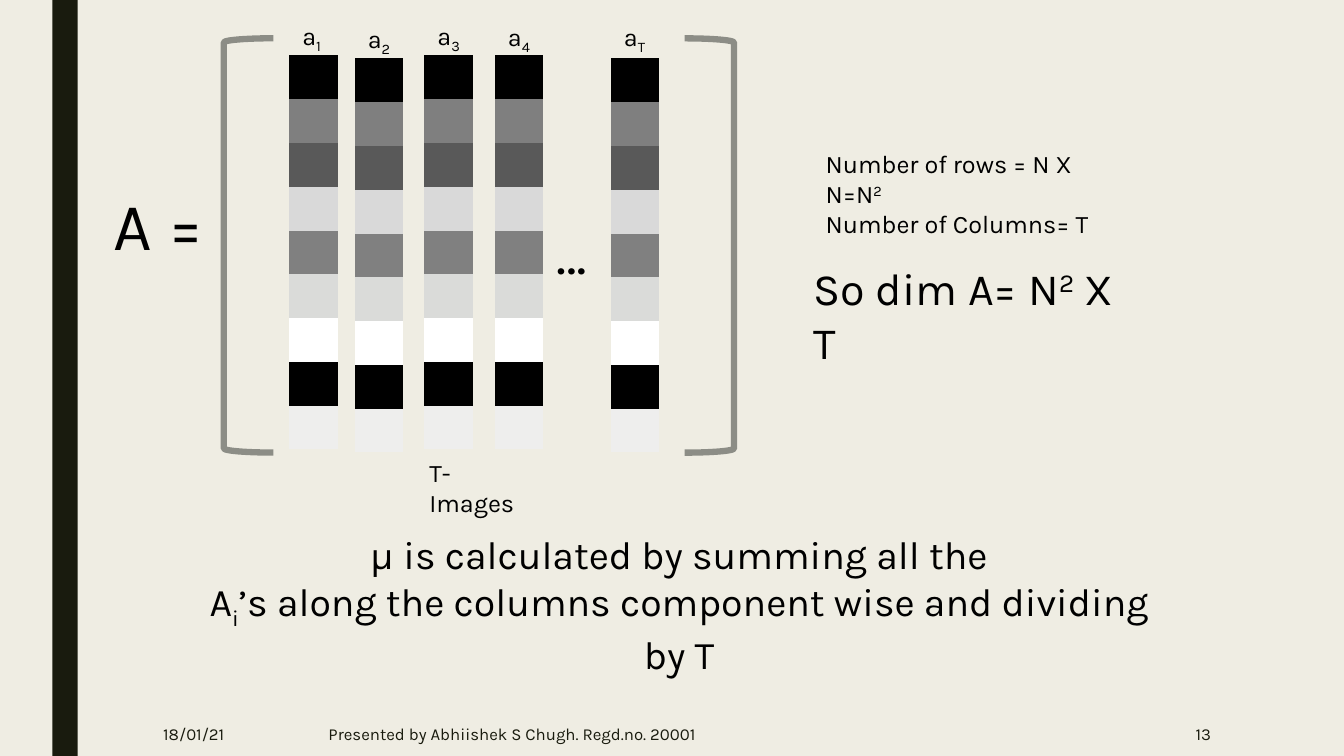
from dataclasses import dataclass
from typing import NamedTuple

from lxml import etree
from pptx import Presentation
from pptx import util as u
from pptx.dml.color import RGBColor
from pptx.enum import shapes, text
from pptx.oxml import ns

FONT = "Karla"
PAPER = RGBColor(0xEF, 0xED, 0xE3)
INK = RGBColor(0x19, 0x1B, 0x0E)
BLACK = RGBColor(0, 0, 0)
GREY = RGBColor(0x8C, 0x8D, 0x86)
SHADES = [RGBColor.from_string(code) for code in (
    "000000", "7F7F7F", "595959", "D9D9D9", "808080",
    "DADBD9", "FFFFFF", "000000", "EEEEED")]
BAR_W, BAR_H = 0.48, 3.91
SUB, SUPER = -25, 30
LEFT, MID, RIGHT = text.PP_ALIGN.LEFT, text.PP_ALIGN.CENTER, text.PP_ALIGN.RIGHT


class Run(NamedTuple):
    text: str
    shift: int = 0  # percent above or below the baseline


class Box(NamedTuple):
    left: float
    top: float
    width: float
    height: float

    def emu(self) -> list[u.Length]:
        return [u.Inches(side) for side in self]


@dataclass
class Column:
    index: str
    left: float
    top: float
    label: float


@dataclass
class Note:
    box: Box
    lines: list[list[Run]]
    size: int
    align: text.PP_ALIGN = LEFT


@dataclass
class Footer:
    box: Box
    text: str
    align: text.PP_ALIGN = LEFT


COLUMNS = [
    Column("1", 2.87, 0.55, 0.15),
    Column("2", 3.52, 0.58, 0.18),
    Column("3", 4.21, 0.55, 0.15),
    Column("4", 4.91, 0.55, 0.16),
    Column("T", 6.06, 0.58, 0.16),
]
NOTES = [
    Note(Box(5.42, 2.12, 0.62, 0.77), [[Run("…")]], 40),
    Note(Box(4.16, 4.49, 1.15, 0.4), [[Run("T-Images")]], 18),
    Note(Box(8.09, 1.42, 3.16, 0.71),
         [[Run("Number of rows = N X N=N"), Run("2", SUPER)],
          [Run("Number of Columns= T")]], 18),
    Note(Box(1.03, 1.77, 1.13, 0.91), [[Run("A =")]], 48),
    Note(Box(7.97, 2.54, 3.39, 0.64),
         [[Run("So dim A= N"), Run("2", SUPER), Run(" X T")]], 32),
    Note(Box(1.96, 5.21, 9.55, 1.04),
         [[Run("μ is calculated by summing all the")],
          [Run("A"), Run("i", SUB),
           Run("’s along the columns component wise and dividing by T")]],
         28, MID),
]
FOOTERS = [
    Footer(Box(1.52, 7.06, 1.32, 0.44), "18/01/21"),
    Footer(Box(3.16, 7.06, 6.87, 0.44),
           "Presented by Abhiishek S Chugh. Regd.no. 20001"),
    Footer(Box(10.36, 7.06, 1.75, 0.44), "13", RIGHT),
]


def write(slide, box: Box, lines: list[list[Run]], *, size: int = 18,
          color: RGBColor = BLACK, align: text.PP_ALIGN = LEFT,
          anchor: text.MSO_ANCHOR = text.MSO_ANCHOR.TOP) -> None:
    frame = slide.shapes.add_textbox(*box.emu()).text_frame
    frame.word_wrap = True
    frame.vertical_anchor = anchor
    for i, line in enumerate(lines):
        para = frame.add_paragraph() if i else frame.paragraphs[0]
        para.alignment = align
        for part in line:
            run = para.add_run()
            run.text = part.text
            run.font.name = FONT
            run.font.size = u.Pt(size)
            run.font.color.rgb = color
            if part.shift:
                run._r.get_or_add_rPr().set("baseline", str(part.shift * 1000))


def clear_edges(cell) -> None:
    props = cell._tc.get_or_add_tcPr()
    for i, side in enumerate(("a:lnL", "a:lnR", "a:lnT", "a:lnB")):
        edge = etree.Element(ns.qn(side), w="0")
        etree.SubElement(edge, ns.qn("a:noFill"))
        props.insert(i, edge)


def draw_column(slide, col: Column) -> None:
    box = Box(col.left, col.top, BAR_W, BAR_H)
    table = slide.shapes.add_table(len(SHADES), 1, *box.emu()).table
    for i, shade in enumerate(SHADES):
        table.rows[i].height = u.Inches(BAR_H / len(SHADES))
        cell = table.cell(i, 0)
        cell.margin_top = cell.margin_bottom = 0
        cell.fill.solid()
        cell.fill.fore_color.rgb = shade
        clear_edges(cell)
    write(slide, Box(col.left + 0.03, col.label, 0.43, 0.4),
          [[Run("a"), Run(col.index, SUB)]])


def draw_bracket(slide, left: float, turn: int) -> None:
    shape = slide.shapes.add_shape(
        shapes.MSO_SHAPE.LEFT_BRACKET, *Box(left, 0.38, 0.49, 4.11).emu())
    shape.shadow.inherit = False
    shape.rotation = turn
    shape.fill.background()
    shape.line.color.rgb = GREY
    shape.line.width = u.Pt(4.5)


def draw_stripe(slide) -> None:
    stripe = slide.shapes.add_shape(
        shapes.MSO_SHAPE.RECTANGLE, *Box(0.52, 0, 0.25, 7.5).emu())
    stripe.shadow.inherit = False
    stripe.fill.solid()
    stripe.fill.fore_color.rgb = INK
    stripe.line.fill.background()


def main() -> None:
    deck = Presentation()
    deck.slide_width, deck.slide_height = u.Inches(13.33), u.Inches(7.5)
    slide = deck.slides.add_slide(deck.slide_layouts[6])
    slide.background.fill.solid()
    slide.background.fill.fore_color.rgb = PAPER
    draw_stripe(slide)
    for col in COLUMNS:
        draw_column(slide, col)
    for left, turn in ((2.22, 0), (6.79, 180)):
        draw_bracket(slide, left, turn)
    for note in NOTES:
        write(slide, note.box, note.lines, size=note.size, align=note.align)
    for foot in FOOTERS:
        write(slide, foot.box, [[Run(foot.text)]], size=12, color=INK,
              align=foot.align, anchor=text.MSO_ANCHOR.MIDDLE)
    deck.save("out.pptx")


if __name__ == "__main__":
    main()
